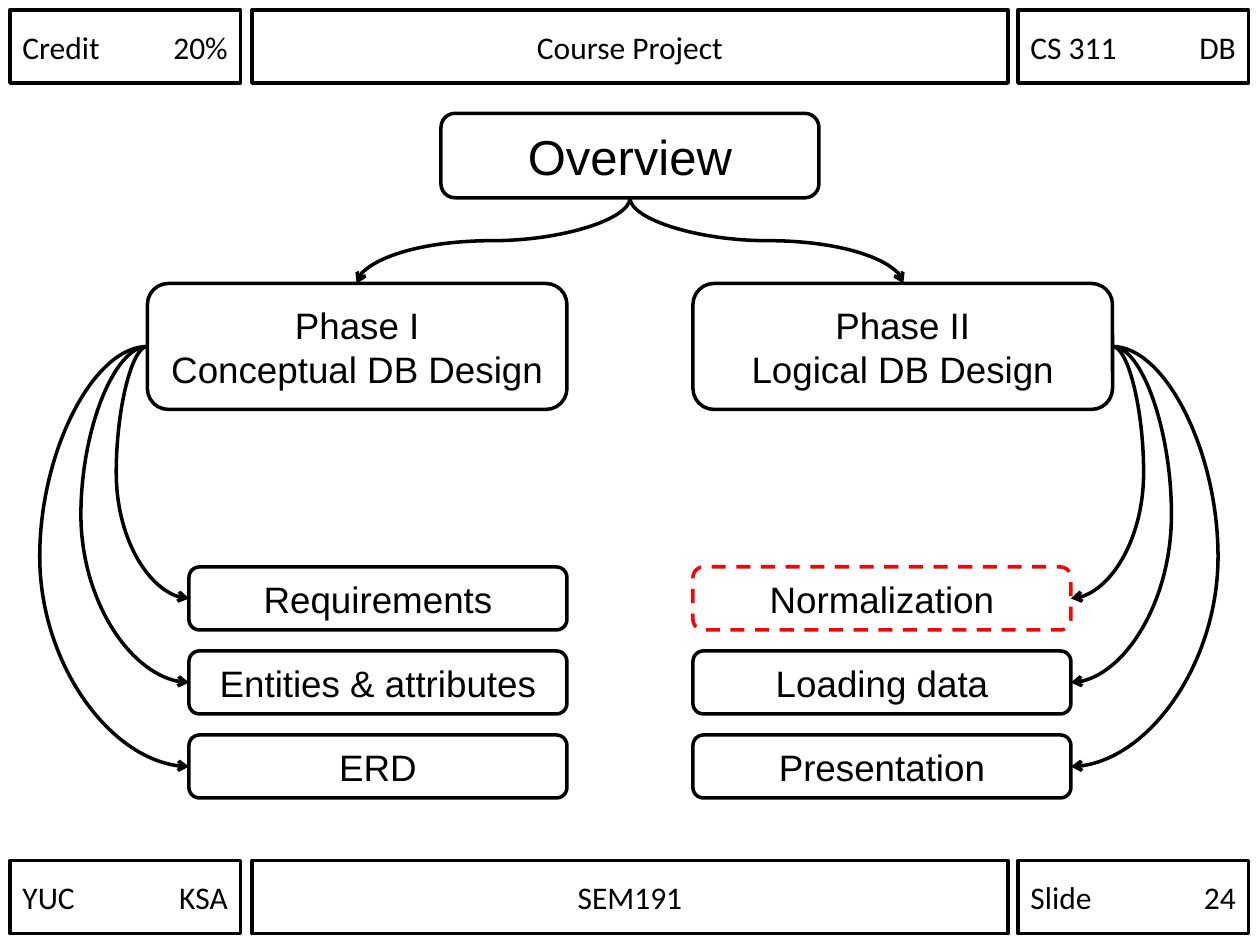
"""Build the course project overview slide."""
from typing import NamedTuple

import lxml.etree
import pptx
import pptx.dml.color
import pptx.enum.dml
import pptx.enum.shapes
import pptx.enum.text
import pptx.oxml.ns
import pptx.shapes.autoshape
import pptx.shapes.connector
import pptx.slide
import pptx.util

Inches = pptx.util.Inches
SHAPES = pptx.enum.shapes.MSO_SHAPE
ALIGN = pptx.enum.text.PP_ALIGN
BLACK, RED = "000000", "FF0000"


class Box(NamedTuple):
    text: str
    left: float
    top: float
    width: float
    height: float
    size: int = 21
    edge: str = BLACK
    dash: bool = False


class Bend(NamedTuple):
    start: tuple[float, float]
    end: tuple[float, float]
    ratio: float


def paint(code: str) -> pptx.dml.color.RGBColor:
    return pptx.dml.color.RGBColor.from_string(code)


def add_child(parent, tag: str, **attrs: str):
    return lxml.etree.SubElement(parent, pptx.oxml.ns.qn(tag), attrs)


def write(shape, text: str, *, size: int, font: str, tab: float = 0) -> None:
    frame = shape.text_frame
    frame.word_wrap = True
    frame.auto_size = pptx.enum.text.MSO_AUTO_SIZE.NONE
    frame.vertical_anchor = pptx.enum.text.MSO_ANCHOR.MIDDLE
    for i, words in enumerate(text.split("\n")):
        para = frame.add_paragraph() if i else frame.paragraphs[0]
        para.alignment = ALIGN.LEFT if tab else ALIGN.CENTER
        if tab:
            tabs = add_child(para._p.get_or_add_pPr(), "a:tabLst")
            add_child(tabs, "a:tab", pos=str(Inches(tab)), algn="r")
        run = para.add_run()
        run.text = words
        run.font.size = pptx.util.Pt(size)
        run.font.name = font
        run.font.color.rgb = paint(BLACK)


def outline(shape, edge: str = BLACK) -> None:
    shape.line.color.rgb = paint(edge)
    shape.line.width = pptx.util.Pt(2)


def add_box(slide: pptx.slide.Slide, box: Box, kind=SHAPES.ROUNDED_RECTANGLE,
            font: str = "Arial", tab: float = 0) -> None:
    place = [Inches(v) for v in box[1:5]]
    shape = slide.shapes.add_shape(kind, *place)
    shape.shadow.inherit = False
    shape.fill.background()
    outline(shape, box.edge)
    if box.dash:
        shape.line.dash_style = pptx.enum.dml.MSO_LINE.DASH
    write(shape, box.text, size=box.size, font=font, tab=tab)


def add_title(slide: pptx.slide.Slide, box: Box) -> None:
    title = slide.shapes.title
    title.left, title.top, title.width, title.height = (
        Inches(v) for v in box[1:5])
    outline(title)
    write(title, box.text, size=box.size, font="Calibri")


def add_bend(slide: pptx.slide.Slide, bend: Bend) -> pptx.shapes.connector.Connector:
    ends = [Inches(v) for v in bend.start + bend.end]
    line = slide.shapes.add_connector(pptx.enum.shapes.MSO_CONNECTOR.CURVE, *ends)
    outline(line)
    props = line.element.spPr
    guides = props.find(".//" + pptx.oxml.ns.qn("a:avLst"))
    add_child(guides, "a:gd", name="adj1", fmla=f"val {round(bend.ratio * 100000)}")
    add_child(props.find(pptx.oxml.ns.qn("a:ln")), "a:tailEnd", type="arrow")
    add_child(props, "a:effectLst")
    return line


def add_drop(slide: pptx.slide.Slide, start: tuple[float, float],
             end: tuple[float, float]) -> None:
    (x1, y1), (x2, y2) = start, end
    mid_x, mid_y = (x1 + x2) / 2, (y1 + y2) / 2
    side = 1 if x2 > x1 else -1
    half_x, half_y = side * (y2 - y1) / 2, abs(x2 - x1) / 2
    line = add_bend(slide, Bend((mid_x + half_x, mid_y - half_y),
                                (mid_x - half_x, mid_y + half_y), 0.5))
    turn = 270 if side > 0 else 90
    line.element.spPr.find(pptx.oxml.ns.qn("a:xfrm")).set("rot", str(turn * 60000))


def main() -> None:
    deck = pptx.Presentation()
    deck.slide_width, deck.slide_height = Inches(10), Inches(7.5)
    slide = deck.slides.add_slide(deck.slide_layouts[5])
    for item in list(slide.placeholders):
        if item != slide.shapes.title:
            item.element.getparent().remove(item.element)

    add_title(slide, Box("Course Project", 2, 0.08, 6, 0.58, 18))
    bars = [
        (0.08, "Credit\t20%", "", "CS 311\tDB"),
        (6.83, "YUC\tKSA", "SEM191", "Slide\t24"),
    ]
    for top, *words in bars:
        for text, left, width in zip(words, (0.08, 2, 8.08), (1.83, 6, 1.83)):
            if text:
                add_box(slide, Box(text, left, top, width, 0.58, 18),
                        SHAPES.RECTANGLE, "Calibri", 1.63 if "\t" in text else 0)

    add_box(slide, Box("Overview", 3.5, 0.9, 3, 0.67, 28))
    add_box(slide, Box("Phase I\nConceptual DB Design", 1.17, 2.25, 3.33, 1))
    add_box(slide, Box("Phase II\nLogical DB Design", 5.5, 2.25, 3.33, 1))
    for goal in (2.83, 7.17):
        add_drop(slide, (5, 1.57), (goal, 2.25))

    sides = [
        (1.5, 1.17, 1.5, ["Requirements", "Entities & attributes", "ERD"],
         (-0.75, -1.6, -2.59)),
        (5.5, 8.83, 8.5, ["Normalization", "Loading data", "Presentation"],
         (-0.75, -1.42, -2.54)),
    ]
    for left, start, end, tasks, ratios in sides:
        for i, (task, ratio) in enumerate(zip(tasks, ratios)):
            top = 4.5 + i * 2 / 3
            mark = task == "Normalization"
            add_box(slide, Box(task, left, top, 3, 0.5,
                               edge=RED if mark else BLACK, dash=mark))
            add_bend(slide, Bend((start, 2.75), (end, top + 0.25), ratio))

    deck.save("out.pptx")


if __name__ == "__main__":
    main()
